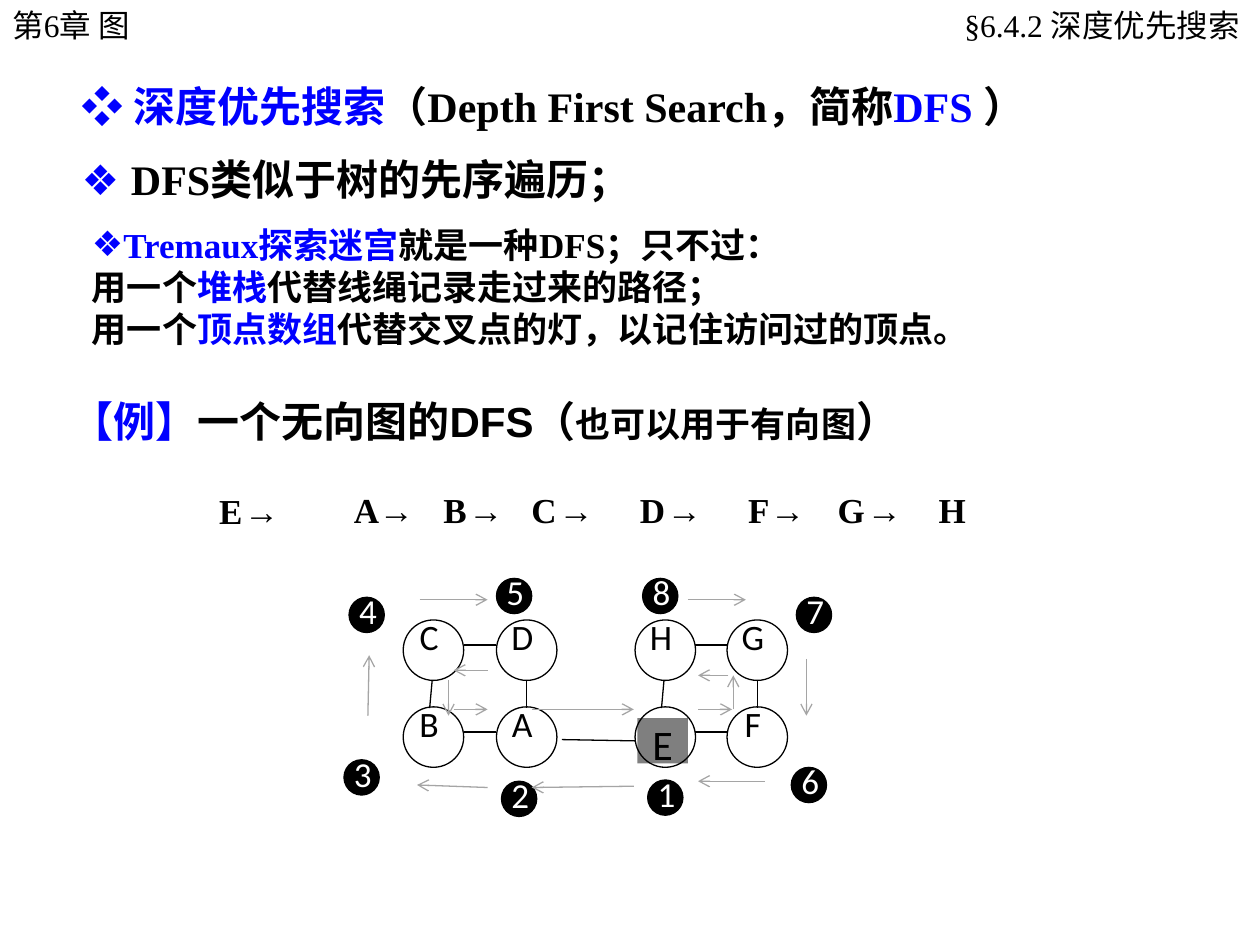
from lxml import etree
from pptx import Presentation
from pptx.dml.color import RGBColor
from pptx.enum.shapes import MSO_CONNECTOR, MSO_SHAPE
from pptx.enum.text import MSO_ANCHOR, MSO_AUTO_SIZE, PP_ALIGN
from pptx.oxml.ns import qn
from pptx.util import Pt

PX = 9144
LEFT, CENTER, RIGHT = PP_ALIGN.LEFT, PP_ALIGN.CENTER, PP_ALIGN.RIGHT
TOP, MIDDLE = MSO_ANCHOR.TOP, MSO_ANCHOR.MIDDLE
FIT = MSO_AUTO_SIZE.SHAPE_TO_FIT_TEXT
NO_FIT = MSO_AUTO_SIZE.NONE
OVAL, RECT = MSO_SHAPE.OVAL, MSO_SHAPE.RECTANGLE
STRAIGHT = MSO_CONNECTOR.STRAIGHT
BLACK, WHITE, BLUE, GREY, DARK = "000000", "FFFFFF", "0000FF", "A5A5A5", "7F7F7F"
TIMES, ARIAL, SANS, MONO = "Times New Roman", "Arial", "Calibri", "Courier New"


def rgb(value):
    """Turn a hex string into a colour."""
    return RGBColor.from_string(value)


def emu(*lengths):
    """Turn pixel lengths into EMU."""
    return [length * PX for length in lengths]


def write(p, runs, font, size, bold=False, align=LEFT):
    """Write (text, colour, *overrides) runs into a paragraph."""
    p.alignment = align
    p.space_before = Pt(0)
    for text, color, *other in runs:
        r = p.add_run()
        r.text = text
        r.font.name = other[0] if other else font
        r.font.size = Pt(other[1] if len(other) > 1 else size)
        r.font.bold = bold
        r.font.color.rgb = rgb(color)


def add_text(shapes, box, runs, font, size, bold=False, align=LEFT, wrap=True):
    """Add a one-paragraph text box."""
    sp = shapes.add_textbox(*emu(*box))
    tf = sp.text_frame
    tf.word_wrap = wrap
    tf.auto_size = FIT
    write(tf.paragraphs[0], runs, font, size, bold, align)
    return tf


def clear_insets(tf):
    """Remove the inner margins of a text frame."""
    tf.margin_left = tf.margin_right = tf.margin_top = tf.margin_bottom = 0
    tf.auto_size = NO_FIT


def add_shape(shapes, kind, box, fill=None, line=None):
    """Add a flat preset shape."""
    sp = shapes.add_shape(kind, *emu(*box))
    sp.shadow.inherit = False
    if fill:
        sp.fill.solid()
        sp.fill.fore_color.rgb = rgb(fill)
    else:
        sp.fill.background()
    if line:
        sp.line.color.rgb = rgb(line)
        sp.line.width = Pt(0.75)
    else:
        sp.line.fill.background()
    return sp


def add_line(shapes, ends, color, arrow=False):
    """Add a straight line, with an arrowhead at its end if asked."""
    line = shapes.add_connector(STRAIGHT, *emu(*ends))
    line.line.color.rgb = rgb(color)
    line.line.width = Pt(0.75)
    if arrow:
        etree.SubElement(line.line._get_or_add_ln(), qn("a:tailEnd"), type="arrow")
    etree.SubElement(line._element.spPr, qn("a:effectLst"))


def set_bullet(p, char=None):
    """Set a flush blue bullet, or none."""
    pPr = p._p.get_or_add_pPr()
    pPr.set("marL", "0")
    pPr.set("indent", "0")
    if char:
        color = etree.SubElement(pPr, qn("a:buClr"))
        etree.SubElement(color, qn("a:srgbClr"), val=BLUE)
        etree.SubElement(pPr, qn("a:buFont"), typeface=ARIAL)
        etree.SubElement(pPr, qn("a:buChar"), char=char)
    else:
        etree.SubElement(pPr, qn("a:buNone"))


def fill_placeholder(sp, box, paragraphs, size):
    """Move a placeholder and write its paragraphs."""
    sp.left, sp.top, sp.width, sp.height = emu(*box)
    tf = sp.text_frame
    tf.vertical_anchor = TOP
    tf.word_wrap = True
    tf.auto_size = FIT
    for i, (bullet, runs) in enumerate(paragraphs):
        p = tf.add_paragraph() if i else tf.paragraphs[0]
        set_bullet(p, bullet)
        write(p, runs, TIMES, size, True)


def add_header(slide, width):
    """Add the chapter and section names along the top edge."""
    add_text(slide.shapes, (0, 0, 174, 40), [("第6章 图", BLACK)], TIMES, 18)
    tf = add_text(slide.shapes, (width - 312, 0, 312, 40),
                  [("§6.4.2 深度优先搜索", BLACK)], TIMES, 18, align=RIGHT)
    tf.margin_left, tf.margin_right = emu(12, 16)


def add_definition(slide, x, y):
    """Add the title, the comparison with trees and the maze notes."""
    fill_placeholder(slide.shapes.title, (x, y, 875, 50), [
        (None, [("❖ ", BLUE, ARIAL), ("深度优先搜索", BLUE),
                ("（Depth First Search，简称", BLACK), ("DFS ", BLUE), ("）", BLACK)]),
    ], 24)
    add_text(slide.shapes, (x, y + 58, 875, 50),
             [("❖ ", BLUE, ARIAL), ("DFS类似于树的先序遍历；", BLACK)], TIMES, 24, True)
    fill_placeholder(slide.placeholders[1], (x + 8, y + 113, 727, 110), [
        ("❖", [("Tremaux探索迷宫", BLUE), ("就是一种DFS；只不过：", BLACK)]),
        (None, [("用一个", BLACK), ("堆栈", BLUE), ("代替线绳记录走过来的路径；", BLACK)]),
        (None, [("用一个", BLACK), ("顶点数组", BLUE),
                ("代替交叉点的灯，以记住访问过的顶点。", BLACK)]),
    ], 20)


def add_node(shapes, x, y, name):
    """Add a labelled vertex; the start vertex E is shaded."""
    start = name == "E"
    box = (x + 2, y + 9, 40, 36) if start else (x, y, 41, 36)
    label = add_shape(shapes, RECT, box, DARK if start else WHITE)
    tf = label.text_frame
    clear_insets(tf)
    tf.vertical_anchor = TOP
    p = tf.paragraphs[0]
    write(p, [(name, BLACK)], SANS, 24 if start else 20.4, align=CENTER)
    p.line_spacing = 1.0 if start else 0.9
    add_shape(shapes, OVAL, (x, y, 48, 48), line=BLACK)


def add_graph(slide, x, y):
    """Add the vertices and edges of the undirected graph."""
    shapes = slide.shapes.add_group_shape().shapes
    columns, rows = (47, 121, 231, 304), (39, 108)
    for dy, names in zip(rows, ("CDHG", "BAEF")):
        for dx, name in zip(columns, names):
            add_node(shapes, x + dx, y + dy, name)
        for a, b in (columns[:2], columns[2:]):
            add_line(shapes, (x + a + 48, y + dy + 20, x + b, y + dy + 20), BLACK)
    for i, dx in enumerate(columns):
        top, bottom = (24, 24) if i % 2 else (23, 21)
        add_line(shapes, (x + dx + top, y + 87, x + dx + bottom, y + 109), BLACK)
    add_line(shapes, (x + 173, y + 134, x + 231, y + 135), BLACK)


def add_walk(slide, x, y):
    """Add the numbered visits and the arrows of the walk."""
    shapes = slide.shapes.add_group_shape().shapes
    badges = ((241, 166), (125, 167), (0, 150), (4, 21),
              (121, 6), (355, 156), (359, 21), (237, 6))
    for number, (dx, dy) in enumerate(badges, 1):
        add_shape(shapes, OVAL, (x + dx, y + dy, 28, 28), BLACK, BLACK)
        tf = add_text(shapes, (x + dx + 8, y + dy - 6, 24, 35),
                      [(str(number), WHITE)], SANS, 20)
        clear_insets(tf)
    arrows = ((230, 171, 149, 172), (83, 87, 83, 115), (149, 110, 230, 110),
              (305, 83, 281, 83), (334, 167, 281, 167), (87, 110, 114, 110),
              (19, 115, 20, 67), (114, 172, 58, 170), (309, 110, 309, 83),
              (367, 70, 367, 115), (60, 23, 114, 23), (114, 79, 87, 79),
              (273, 23, 319, 23), (281, 110, 308, 110))
    for x1, y1, x2, y2 in arrows:
        add_line(shapes, (x + x1, y + y1, x + x2, y + y2), GREY, True)


def add_example(slide, x, y):
    """Add the example heading and the order of visits."""
    add_text(slide.shapes, (x, y, 812, 50),
             [("【例】", BLUE), ("一个无向图的DFS（", BLACK),
              ("也可以用于有向图", BLACK, ARIAL, 20), ("）", BLACK)], ARIAL, 24, True)
    visits = (("E", 117, 109), ("A", 224, 64), ("B", 295, 62), ("C", 365, 64),
              ("D", 451, 64), ("F", 537, 60), ("G", 608, 65), ("H", 688, 41))
    for name, dx, width in visits:
        runs = [("H", BLACK)] if name == "H" else [(name + " ", BLACK), ("→", BLACK, MONO)]
        tf = add_text(slide.shapes, (x + dx, y + 74, width, 44), runs,
                      TIMES, 20, True, wrap=name == "E")
        tf.vertical_anchor = MIDDLE if name == "E" else TOP


def main():
    """Build and save the slide."""
    prs = Presentation()
    prs.slide_width, prs.slide_height = emu(1000, 750)
    slide = prs.slides.add_slide(prs.slide_layouts[1])
    add_header(slide, 1000)
    add_definition(slide, 55, 59)
    add_graph(slide, 273, 453)
    add_walk(slide, 273, 453)
    add_example(slide, 47, 309)
    prs.save("out.pptx")


if __name__ == "__main__":
    main()
